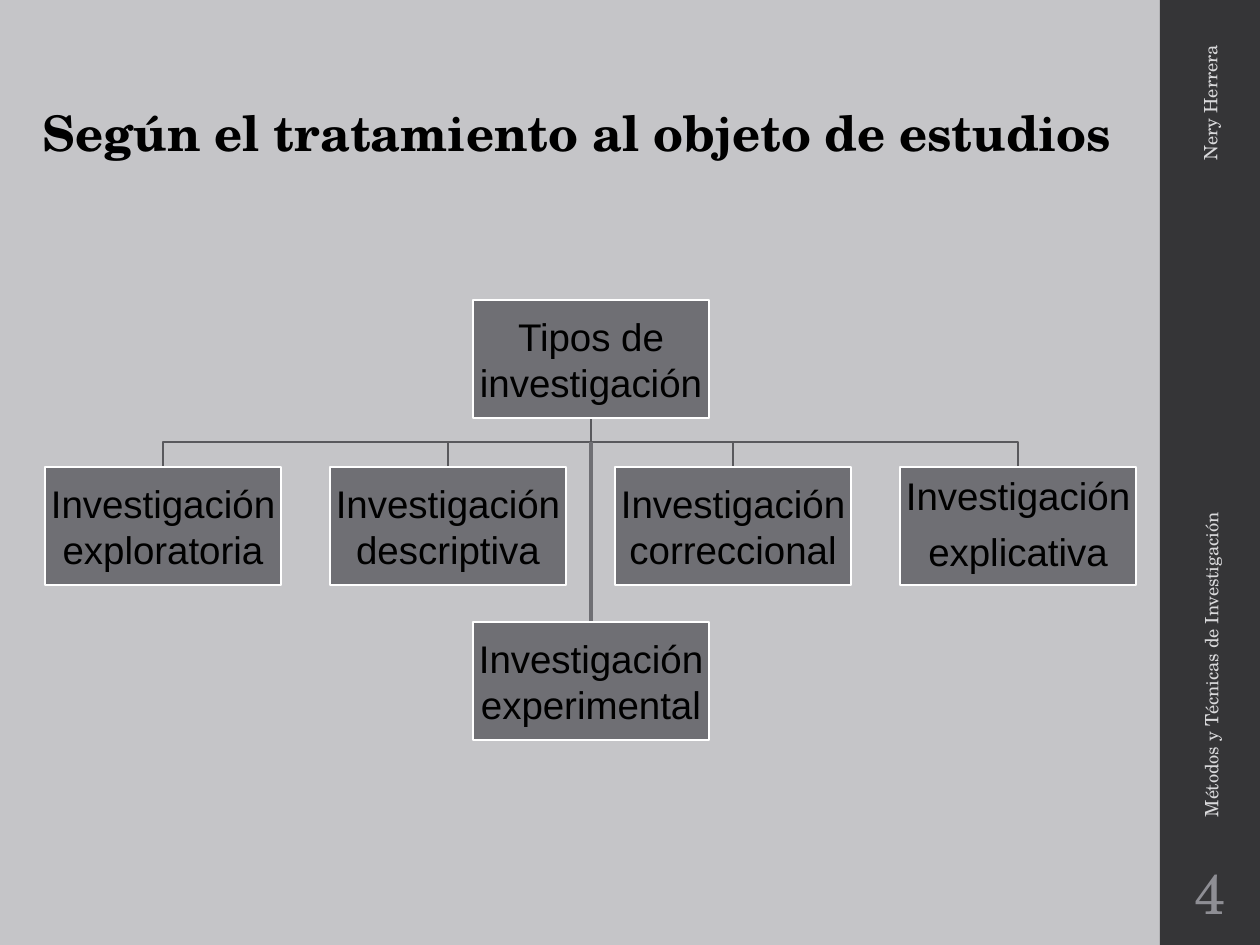
import pptx
import pptx.util
import pptx.dml.color
import pptx.enum.shapes
import pptx.enum.text
import pptx.oxml.ns
from lxml import etree

ALIGN = pptx.enum.text.PP_ALIGN
RECTANGLE = pptx.enum.shapes.MSO_SHAPE.RECTANGLE
STRAIGHT = pptx.enum.shapes.MSO_CONNECTOR.STRAIGHT

TITLE = "Según el tratamiento al objeto de estudios"
AUTHOR = "Nery Herrera"
COURSE = "Métodos y Técnicas de Investigación"
PAGE_NUMBER = "4"
ROOT = "Tipos de investigación"
BRANCHES = [
    "Investigación\nexploratoria",
    "Investigación\ndescriptiva",
    "Investigación\ncorreccional",
    "Investigación\nexplicativa",
]
EXTRA_BRANCH = "Investigación\nexperimental"

THEME = {
    "background": "C5C5C8", "sidebar": "353537", "box": "6F6F74",
    "border": "FFFFFF", "branch_line": "59595D", "ink": "000000",
    "sidebar_text": "D9D9DB", "number": "8E8E94",
    "serif": "TeX Gyre Schola", "sans": "Arial",
    "title_size": 28, "box_size": 22, "label_size": 10.5, "number_size": 32,
    "thin": 1.1, "thick": 2.25,
}

BOX_WIDTH, BOX_HEIGHT = 236, 118
ROW_LEFT, ROW_STEP = 45, 285
ROOT_TOP, BRANCH_TOP, EXTRA_TOP = 300, 467, 622
ROOT_LEFT = 473
CENTER = ROOT_LEFT + BOX_WIDTH // 2
ROOT_BOTTOM = ROOT_TOP + BOX_HEIGHT
BUS_Y = (ROOT_BOTTOM + BRANCH_TOP) // 2


def px(length):
    return pptx.util.Emu(round(length * 914400 / 126))


def color(name):
    return pptx.dml.color.RGBColor.from_string(THEME[name])


def set_line(shape, name, width):
    shape.line.color.rgb = color(name)
    shape.line.width = pptx.util.Pt(THEME[width])


def write(shape, text, font, size, ink, align, margins, bold=False):
    frame = shape.text_frame
    frame.word_wrap = True
    frame.vertical_anchor = pptx.enum.text.MSO_ANCHOR.MIDDLE
    frame.margin_left = frame.margin_right = px(margins[0])
    frame.margin_top = frame.margin_bottom = px(margins[1])
    frame.text = text
    for paragraph in frame.paragraphs:
        paragraph.alignment = align
        for run in paragraph.runs:
            run.font.name = THEME[font]
            run.font.size = pptx.util.Pt(THEME[size])
            run.font.color.rgb = color(ink)
            run.font.bold = bold


def add_label(slide, bounds, text, size, ink, align, margins=(13, 6), rotation=0, bold=False):
    label = slide.shapes.add_textbox(*map(px, bounds))
    label.rotation = rotation
    write(label, text, "serif", size, ink, align, margins, bold)


def add_rectangle(slide, bounds, fill):
    shape = slide.shapes.add_shape(RECTANGLE, *map(px, bounds))
    shape.shadow.inherit = False
    shape.fill.solid()
    shape.fill.fore_color.rgb = color(fill)
    shape.line.fill.background()
    return shape


def add_box(slide, left, top, text):
    box = add_rectangle(slide, (left, top, BOX_WIDTH, BOX_HEIGHT), "box")
    set_line(box, "border", "thin")
    write(box, text, "sans", "box_size", "ink", ALIGN.CENTER, (2, 2))
    return box


def add_elbow(slide, end_x):
    builder = slide.shapes.build_freeform(px(CENTER), px(ROOT_BOTTOM))
    corners = [(CENTER, BUS_Y), (end_x, BUS_Y), (end_x, BRANCH_TOP)]
    builder.add_line_segments([(px(x), px(y)) for x, y in corners], close=False)
    elbow = builder.convert_to_shape()
    elbow.shadow.inherit = False
    elbow.fill.background()
    set_line(elbow, "branch_line", "thin")


def add_trunk(slide):
    trunk = slide.shapes.add_connector(
        STRAIGHT, px(CENTER), px(BUS_Y), px(CENTER), px(EXTRA_TOP + 19))
    set_line(trunk, "box", "thick")
    etree.SubElement(trunk._element.spPr, pptx.oxml.ns.qn("a:effectLst"))


def main():
    presentation = pptx.Presentation()
    presentation.slide_width, presentation.slide_height = px(1260), px(945)
    slide = presentation.slides.add_slide(presentation.slide_layouts[6])
    slide.background.fill.solid()
    slide.background.fill.fore_color.rgb = color("background")

    add_rectangle(slide, (1160, 0, 100, 945), "sidebar")

    lefts = [ROW_LEFT + ROW_STEP * column for column in range(len(BRANCHES))]
    for left in lefts:
        add_elbow(slide, left + BOX_WIDTH // 2)
    add_box(slide, ROOT_LEFT, ROOT_TOP, ROOT)
    boxes = [add_box(slide, left, BRANCH_TOP, text) for left, text in zip(lefts, BRANCHES)]
    for paragraph in boxes[-1].text_frame.paragraphs:
        paragraph.line_spacing = 0.9
        paragraph.space_after = pptx.util.Pt(8)

    add_label(slide, (1079, 144, 262, 38), AUTHOR, "label_size", "sidebar_text",
              ALIGN.RIGHT, rotation=270)
    add_label(slide, (964, 564, 494, 38), COURSE, "label_size", "sidebar_text",
              ALIGN.LEFT, rotation=270)
    add_label(slide, (1163, 851, 94, 82), PAGE_NUMBER, "number_size", "number",
              ALIGN.CENTER, margins=(4, 6))
    add_label(slide, (30, 96, 1133, 72), TITLE, "title_size", "ink", ALIGN.LEFT, bold=True)

    add_trunk(slide)
    add_box(slide, ROOT_LEFT, EXTRA_TOP, EXTRA_BRANCH)
    presentation.save("out.pptx")


if __name__ == "__main__":
    main()
